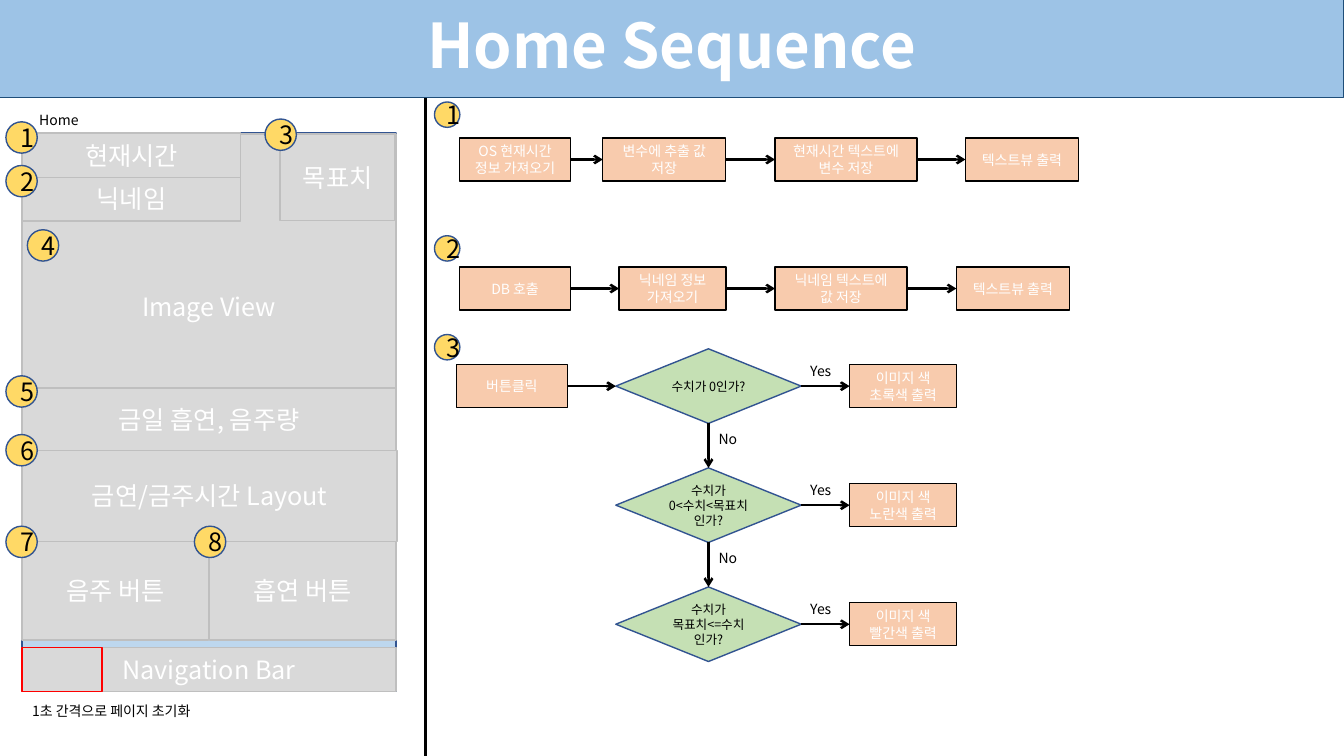
from dataclasses import dataclass
from itertools import pairwise

from pptx import Presentation
from pptx.dml.color import RGBColor
from pptx.enum.shapes import MSO_CONNECTOR, MSO_SHAPE
from pptx.enum.text import MSO_ANCHOR, PP_ALIGN
from pptx.oxml.ns import qn
from pptx.shapes.autoshape import Shape
from pptx.shapes.connector import Connector
from pptx.util import Cm, Pt


@dataclass(frozen=True)
class Theme:
    font: str = "Noto Sans CJK KR"
    white: str = "FFFFFF"
    black: str = "000000"
    banner: str = "9DC3E6"
    navy: str = "1F4E79"
    edge: str = "325491"
    screen: str = "BDD7EE"
    panel: str = "D9D9D9"
    border: str = "BFBFBF"
    badge: str = "FFD966"
    step: str = "F8CBAD"
    choice: str = "C5E0B4"
    mark: str = "FF0000"
    title: float = 44
    large: float = 18
    small: float = 10
    tiny: float = 9


@dataclass(frozen=True)
class Style:
    fill: str | None
    line: str
    size: float = 18
    color: str = "000000"
    form: MSO_SHAPE = MSO_SHAPE.RECTANGLE
    weight: float = 1


@dataclass(frozen=True)
class Box:
    text: str
    left: float
    top: float
    width: float
    height: float


@dataclass(frozen=True)
class Step:
    text: str
    left: float
    width: float


T = Theme()
BANNER = Style(T.banner, T.navy, T.title, T.white, weight=0.75)
SCREEN = Style(T.screen, T.edge)
PANEL = Style(T.panel, T.border, T.large, T.white)
BADGE = Style(T.badge, T.edge, T.large, T.black, MSO_SHAPE.OVAL)
STEP = Style(T.step, T.black, T.small, T.white)
CHOICE = Style(T.choice, T.edge, T.tiny, T.black, MSO_SHAPE.DIAMOND)
MARK = Style(None, T.mark)

TOP, LEFT, BOTTOM, RIGHT = range(4)

deck = Presentation()
deck.slide_width, deck.slide_height = Cm(33.87), Cm(19.05)
slide = deck.slides.add_slide(deck.slide_layouts[6])


def write(shape: Shape, text: str, size: float, color: str, align: PP_ALIGN, **extra) -> None:
    """Fill a shape with one paragraph per line of text."""
    frame = shape.text_frame
    for key, value in extra.items():
        setattr(frame, key, value)
    frame.text = text
    look = {"name": T.font, "size": Pt(size), "bold": size == T.title}
    for para in frame.paragraphs:
        para.alignment = align
        for run in para.runs:
            for key, value in look.items():
                setattr(run.font, key, value)
            run.font.color.rgb = RGBColor.from_string(color)
            east = run.font._element.makeelement(qn("a:ea"), {"typeface": T.font})
            run.font._element.find(qn("a:latin")).addnext(east)


def draw(box: Box, style: Style, **extra) -> Shape:
    shape = slide.shapes.add_shape(
        style.form, Cm(box.left), Cm(box.top), Cm(box.width), Cm(box.height))
    shape.shadow.inherit = False
    if style.fill:
        shape.fill.solid()
        shape.fill.fore_color.rgb = RGBColor.from_string(style.fill)
    else:
        shape.fill.background()
    shape.line.color.rgb = RGBColor.from_string(style.line)
    shape.line.width = Pt(style.weight)
    if box.text:
        write(shape, box.text, style.size, style.color, PP_ALIGN.CENTER,
              vertical_anchor=MSO_ANCHOR.MIDDLE, **extra)
    return shape


def label(box: Box) -> None:
    shape = slide.shapes.add_textbox(
        Cm(box.left), Cm(box.top), Cm(box.width), Cm(box.height))
    write(shape, box.text, T.small, T.black, PP_ALIGN.LEFT, word_wrap=True)


def rule(x: float, start: float, end: float, weight: float) -> Connector:
    line = slide.shapes.add_connector(
        MSO_CONNECTOR.STRAIGHT, Cm(x), Cm(start), Cm(x), Cm(end))
    line.line.color.rgb = RGBColor.from_string(T.black)
    line.line.width = Pt(weight)
    props = line._element.spPr
    props.append(props.makeelement(qn("a:effectLst"), {}))
    return line


def arrow(start: Shape, end: Shape, out: int = RIGHT, into: int = LEFT) -> None:
    line = rule(0, 0, 0, 1.75)
    line.begin_connect(start, out)
    line.end_connect(end, into)
    stroke = line.line._get_or_add_ln()
    stroke.append(stroke.makeelement(qn("a:tailEnd"), {"type": "arrow"}))


def centred(step: Step, mid: float, height: float) -> Box:
    return Box(step.text, step.left, mid - height / 2, step.width, height)


# Banner and divider
banner = draw(Box("Home Sequence", 0, 0, 33.87, 2.46), BANNER)
banner.text_frame.paragraphs[0].line_spacing = 0.9
rule(10.72, 19.05, 2.46, 2.25)

# Home screen mock-up
EDGE, WIDE = 0.56, 9.42
draw(Box("", EDGE, 3.35, WIDE, 14.07), SCREEN)
draw(Box("Image View", EDGE, 3.38, WIDE, 6.4), PANEL, margin_top=Cm(2.4))
for panel in (
    Box("닉네임", EDGE, 4.45, 5.51, 1.12),
    Box("Navigation Bar", EDGE, 16.31, WIDE, 1.12),
    Box("음주 버튼", EDGE, 13.64, 4.7, 2.49),
    Box("흡연 버튼", 5.28, 13.64, 4.7, 2.49),
    Box("현재시간", EDGE, 3.35, 5.51, 1.12),
    Box("금연/금주시간 Layout", EDGE, 11.35, 9.45, 2.29),
    Box("금일 흡연, 음주량", EDGE, 9.78, WIDE, 1.57),
    Box("목표치", 7.06, 3.38, 2.9, 2.18),
):
    draw(panel, PANEL)
draw(Box("", EDGE, 16.31, 2.01, 1.12), MARK)
label(Box("Home", 0.74, 2.69, 3.6, 0.69))
label(Box("1초 간격으로 페이지 초기화", EDGE, 17.58, 6.12, 0.69))

# Numbered badges on the mock-up and beside each flow
SPOTS = ((0.15, 3.07), (0.15, 4.17), (6.68, 3), (0.69, 5.79),
         (0.15, 9.47), (0.15, 10.95), (0.15, 13.26), (4.9, 13.26))
for num, (x, y) in enumerate(SPOTS, 1):
    draw(Box(str(num), x, y, 0.79, 0.79), BADGE)
for num, y in enumerate((2.57, 5.94, 8.43), 1):
    draw(Box(str(num), 10.95, y, 0.64, 0.64), BADGE)

# Flows 1 and 2: chains of steps
TALL = 1.08
FLOWS = {
    4.02: (Step("OS 현재시간\n정보 가져오기", 11.58, 2.8),
           Step("변수에 추출 값\n저장", 15.19, 3.1),
           Step("현재시간 텍스트에 변수 저장", 19.53, 3.58),
           Step("텍스트뷰 출력", 24.33, 2.85)),
    7.27: (Step("DB 호출", 11.58, 2.8),
           Step("닉네임 정보\n가져오기", 15.6, 2.7),
           Step("닉네임 텍스트에\n값 저장", 19.53, 3.33),
           Step("텍스트뷰 출력", 24.1, 2.85)),
}
for mid, steps in FLOWS.items():
    chain = [draw(centred(step, mid, TALL), STEP) for step in steps]
    for start, end in pairwise(chain):
        arrow(start, end)

# Flow 3: a ladder of choices
FIRST, PITCH = 9.73, 3
CASES = (("수치가 0인가?", "초록색"),
         ("수치가\n0<수치<목표치\n인가?", "노란색"),
         ("수치가\n목표치<=수치\n인가?", "빨간색"))
click = draw(centred(Step("버튼클릭", 11.5, 2.8), FIRST, TALL), STEP)
ladder = []
for row, (ask, hue) in enumerate(CASES):
    mid = FIRST + row * PITCH
    choice = draw(centred(Step(ask, 15.52, 4.67), mid, 1.88), CHOICE, word_wrap=False)
    result = draw(centred(Step(f"이미지 색\n{hue} 출력", 21.41, 2.7), mid, TALL), STEP)
    arrow(choice, result)
    label(Box("Yes", 20.17, mid - 0.71, 1.14, 0.69))
    ladder.append(choice)
    if row:
        label(Box("No", 17.86, mid - 2, 1.14, 0.69))
arrow(click, ladder[0])
for start, end in pairwise(ladder):
    arrow(start, end, BOTTOM, TOP)

deck.save("out.pptx")
